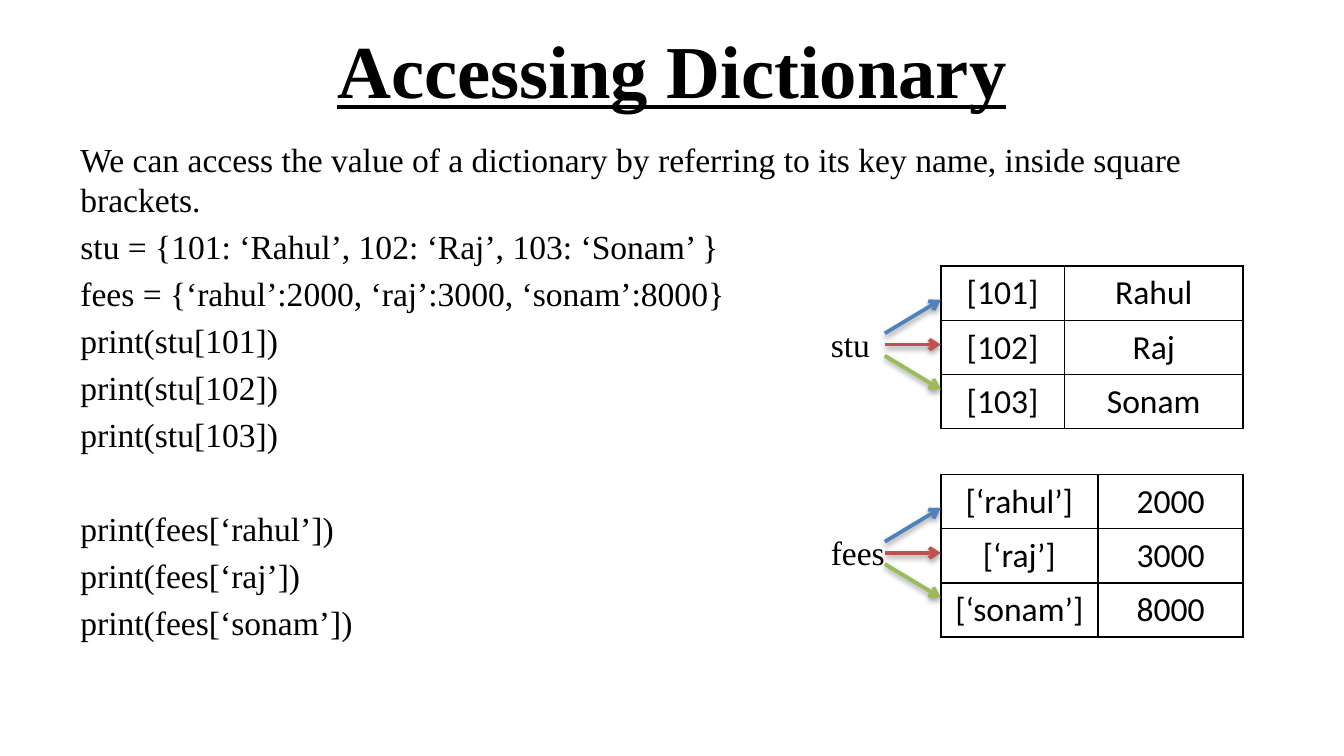
from lxml import etree
from pptx import Presentation
from pptx.dml.color import RGBColor
from pptx.enum.shapes import MSO_CONNECTOR
from pptx.enum.text import MSO_ANCHOR, PP_ALIGN
from pptx.oxml import parse_xml
from pptx.oxml.ns import nsdecls, qn
from pptx.util import Pt

COLORS = {"text": "000000", "blue": "4F81BD", "red": "C0504D", "green": "9BBB59"}
SERIF, SANS = "Times New Roman", "Calibri"


def style(p, size, font, align=PP_ALIGN.LEFT):
    p.alignment = align
    p.font.size, p.font.name = Pt(size), font
    p.font.color.rgb = RGBColor.from_string(COLORS["text"])


def add_text(x, y, w, h, lines, size, align=PP_ALIGN.LEFT, wrap=True):
    tf = s.shapes.add_textbox(Pt(x), Pt(y), Pt(w), Pt(h)).text_frame
    tf.word_wrap = wrap
    tf.text = "\n".join(lines)
    for p in tf.paragraphs:
        style(p, size, SERIF, align)
    return tf


prs = Presentation()
prs.slide_width, prs.slide_height = Pt(720), Pt(405)
s = prs.slides.add_slide(prs.slide_layouts[6])

# Title
tf = add_text(36, 2.9, 648, 67.7, ["Accessing Dictionary"], 40, PP_ALIGN.CENTER)
tf.vertical_anchor = MSO_ANCHOR.MIDDLE
tf.paragraphs[0].font.bold = True
tf.paragraphs[0].font.underline = True

# Explanation and code, with a wider gap between the two print groups
lines = [
    "We can access the value of a dictionary by referring to its key name, inside square brackets.",
    "stu = {101: ‘Rahul’, 102: ‘Raj’, 103: ‘Sonam’ }",
    "fees = {‘rahul’:2000, ‘raj’:3000, ‘sonam’:8000}",
    "print(stu[101])",
    "print(stu[102])",
    "print(stu[103])",
    "print(fees[‘rahul’])",
    "print(fees[‘raj’])",
    "print(fees[‘sonam’])",
]
tf = add_text(36, 70.6, 648, 293.8, lines, 18)
for i, p in enumerate(tf.paragraphs):
    p.line_spacing = Pt(21.6)
    p.space_before = Pt({0: 0, 6: 28.8}.get(i, 3.6))

# Each dictionary: name, arrows and table of keys and values
dictionaries = [
    ("stu", 142.6, 36, (66.2, 95.8),
     [("[101]", "Rahul"), ("[102]", "Raj"), ("[103]", "Sonam")]),
    ("fees", 254.2, 44, (84.2, 77.8),
     [("[‘rahul’]", "2000"), ("[‘raj’]", "3000"), ("[‘sonam’]", "8000")]),
]
TABLE_X, ARROW_X, ROW_H = 504, 474, 29
for name, top, label_w, widths, rows in dictionaries:
    # Table
    table = s.shapes.add_table(3, 2, Pt(TABLE_X), Pt(top), Pt(162), Pt(3 * ROW_H)).table
    table.first_row = table.horz_banding = False
    for col, w in zip(table.columns, widths):
        col.width = Pt(w)
    for r, row in enumerate(rows):
        table.rows[r].height = Pt(ROW_H)
        for c, text in enumerate(row):
            cell = table.cell(r, c)
            cell.text = text
            style(cell.text_frame.paragraphs[0], 18, SANS, PP_ALIGN.CENTER)
            cell.fill.background()
            tc_pr = cell._tc.get_or_add_tcPr()
            for i, side in enumerate(("lnL", "lnR", "lnT", "lnB")):
                tc_pr.insert(i, parse_xml(
                    f'<a:{side} {nsdecls("a")} w="12700"><a:solidFill>'
                    f'<a:srgbClr val="{COLORS["text"]}"/></a:solidFill></a:{side}>'))

    # Name
    mid = top + 42
    add_text(438, mid - 14.6, label_w, 29, [name], 18, wrap=False)

    # Arrows fanning out to the keys
    for color, k in (("blue", -1), ("red", 0), ("green", 1)):
        arrow = s.shapes.add_connector(MSO_CONNECTOR.STRAIGHT, Pt(ARROW_X), Pt(mid + 6 * k),
                                       Pt(TABLE_X), Pt(mid + 24 * k))
        arrow.line.width = Pt(2)
        arrow.line.color.rgb = RGBColor.from_string(COLORS[color])
        etree.SubElement(arrow.line._get_or_add_ln(), qn("a:tailEnd"), type="arrow")
        arrow._element.spPr.append(parse_xml(
            f'<a:effectLst {nsdecls("a")}><a:outerShdw blurRad="40000" dist="20000" dir="5400000" '
            f'rotWithShape="0"><a:srgbClr val="{COLORS["text"]}"><a:alpha val="38000"/></a:srgbClr>'
            '</a:outerShdw></a:effectLst>'))

prs.save("out.pptx")
